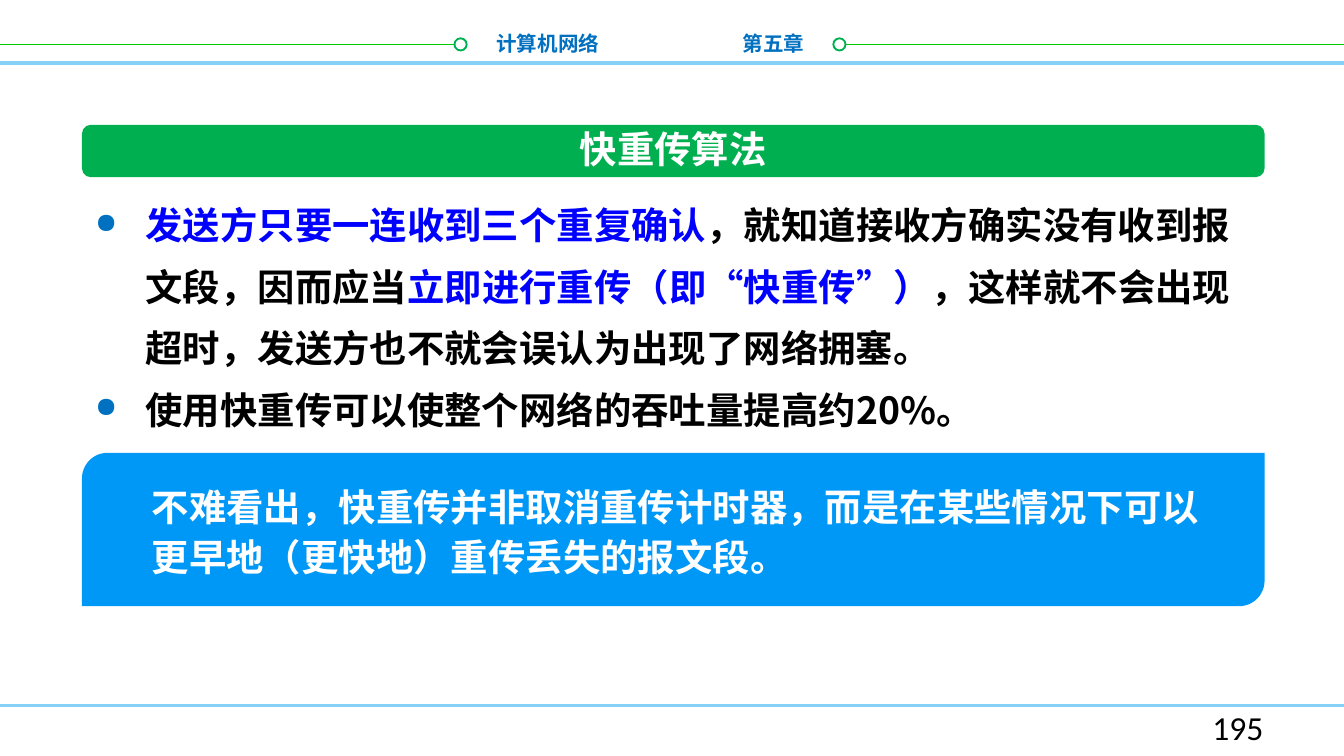
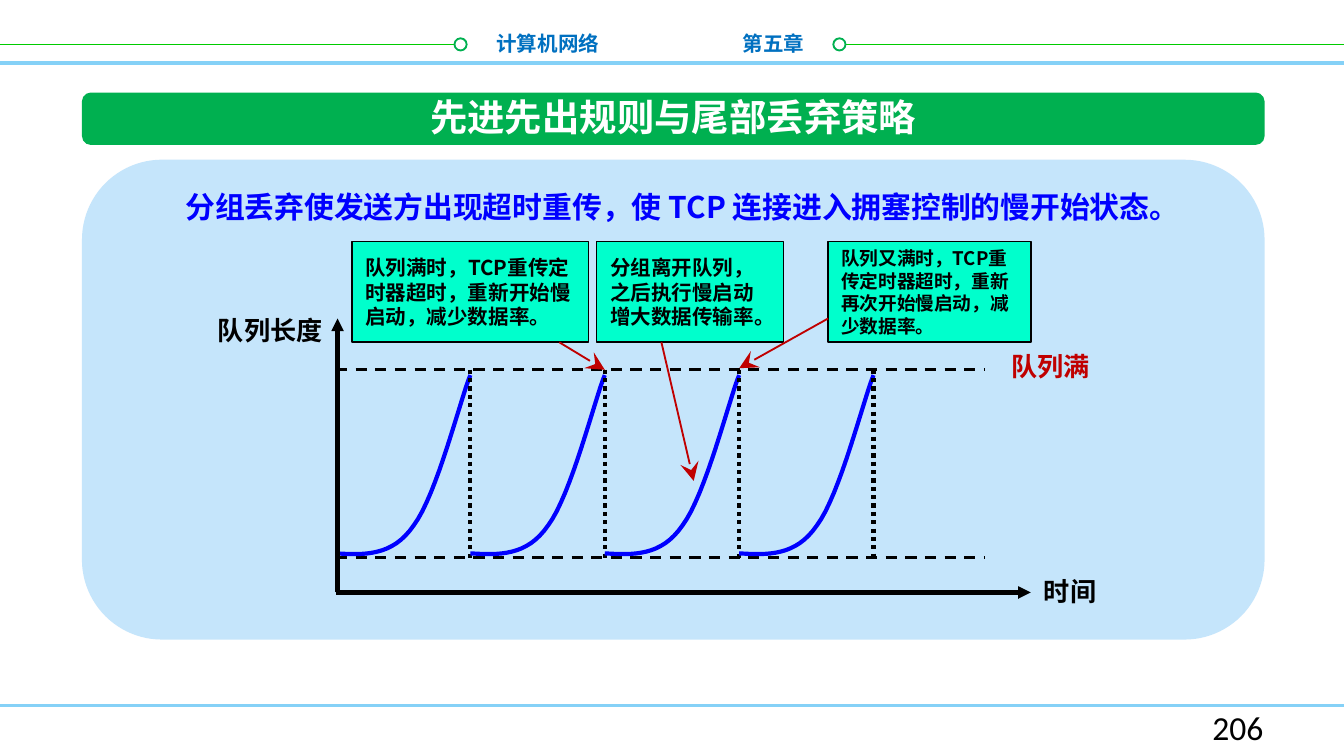
from collections import namedtuple

from pptx import Presentation
from pptx.dml.color import RGBColor
from pptx.enum.dml import MSO_LINE
from pptx.enum.shapes import MSO_CONNECTOR, MSO_SHAPE
from pptx.enum.text import MSO_ANCHOR, MSO_AUTO_SIZE, PP_ALIGN
from pptx.oxml.ns import qn
from pptx.util import Cm, Pt
from lxml.etree import SubElement

COLORS = {
    "white": "FFFFFF", "black": "000000", "sky": "85D1F7", "lime": "00CC00",
    "green": "00B050", "blue": "0070C0", "accent": "0000FF", "summary": "0098F6",
    "panel": "C5E5FB", "mint": "00FFCC", "red": "C00000",
}
CJK, LATIN = "Noto Sans CJK SC", "Calibri"
GROW = {"auto_size": MSO_AUTO_SIZE.SHAPE_TO_FIT_TEXT}
ONE_LINE = {**GROW, "word_wrap": False}
LABEL = {**GROW, "margin_top": Cm(0.1)}
MIDDLE = {"vertical_anchor": MSO_ANCHOR.MIDDLE}
CENTER = {"alignment": PP_ALIGN.CENTER}
RIGHT = {"alignment": PP_ALIGN.RIGHT}
AXIS_HEAD = {"type": "triangle"}
POINTER_HEAD = {"type": "stealth", "w": "lg", "len": "lg"}

Box = namedtuple("Box", "left top width height")
PAGE = Box(0, 0, 25.4, 14.29)


def rgb(name):
    return RGBColor.from_string(COLORS[name])


def apply(target, formats):
    for attribute, value in formats.items():
        setattr(target, attribute, value)


def inside(box, left, top, width, height):
    """Box placed relative to the corner of another box."""
    return Box(box.left + left, box.top + top, width, height)


# Drawing helpers
def write(frame, paragraphs, size, frame_format=None, para_format=None,
          font=CJK, bold=True, bullet=None):
    """Each paragraph is a list of (text, colour) runs."""
    apply(frame, {"word_wrap": True, **(frame_format or {})})
    for index, runs in enumerate(paragraphs):
        paragraph = frame.add_paragraph() if index else frame.paragraphs[0]
        apply(paragraph, {"alignment": PP_ALIGN.LEFT, **(para_format or {})})
        if bullet:
            add_bullet(paragraph, bullet)
        for text, color in runs:
            run = paragraph.add_run()
            run.text = text
            apply(run.font, {"size": Pt(size), "bold": bold, "name": font})
            run.font.color.rgb = rgb(color)
            SubElement(run.font._element, qn("a:ea"), typeface=font)


def add_bullet(paragraph, color, hang=0.95):
    properties = paragraph._p.get_or_add_pPr()
    properties.set("marL", str(Cm(hang)))
    properties.set("indent", str(-Cm(hang)))
    bullet_color = SubElement(properties, qn("a:buClr"))
    SubElement(bullet_color, qn("a:srgbClr"), val=COLORS[color])
    SubElement(properties, qn("a:buSzPct"), val="75000")
    SubElement(properties, qn("a:buChar"), char="●")


def add_text(slide, box, paragraphs, size, **formats):
    frame = slide.shapes.add_textbox(*map(Cm, box)).text_frame
    write(frame, paragraphs, size, **formats)


def add_block(slide, kind, box, fill, line=None, weight=1.0, corner=None):
    block = slide.shapes.add_shape(kind, *map(Cm, box))
    block.shadow.inherit = False
    block.fill.solid()
    block.fill.fore_color.rgb = rgb(fill)
    if corner is not None:
        block.adjustments[0] = corner
    if line:
        block.line.color.rgb = rgb(line)
        block.line.width = Pt(weight)
    else:
        block.line.fill.background()
    return block


def add_line(slide, start, end, color, weight, dash=None, head=None):
    line = slide.shapes.add_connector(MSO_CONNECTOR.STRAIGHT, *map(Cm, start + end))
    line.line.color.rgb = rgb(color)
    apply(line.line, {"width": Pt(weight), "dash_style": dash})
    if head:
        SubElement(line.line._get_or_add_ln(), qn("a:tailEnd"), head)
    SubElement(line._element.spPr, qn("a:effectLst"))


# Parts shared by the slides
def add_page_frame(slide, page, number):
    right = page.left + page.width
    rule, band, ring = page.top + 0.84, page.top + 1.19, 0.23
    add_line(slide, (page.left, band), (right, band), "sky", 2)
    for start, end, ring_left in ((page.left, 8.64, 8.59), (15.75, right, 15.75)):
        add_line(slide, (start, rule), (end, rule), "lime", 1)
        add_block(slide, MSO_SHAPE.OVAL, Box(ring_left, rule - ring / 2, ring, ring),
                  "white", "green")
    add_text(slide, inside(page, 13.79, 0.46, 2.95, 0.74), [[("第五章", "blue")]], 11,
             frame_format=GROW)
    add_text(slide, inside(page, 9.12, 0.46, 2.46, 0.74), [[("计算机网络", "blue")]], 11,
             frame_format=ONE_LINE, para_format=RIGHT)
    # Footer
    footer = page.top + 13.34
    add_line(slide, (page.left, footer), (right, footer), "sky", 1.5)
    add_text(slide, inside(page, 18.21, 13.23, 5.92, 0.76), [[(number, "black")]], 18,
             para_format=RIGHT, font=LATIN, bold=False)


def add_title(slide, bar, title):
    add_block(slide, MSO_SHAPE.ROUNDED_RECTANGLE, bar, "green", corner=0.167)
    add_text(slide, inside(bar, 0, -0.1, bar.width, 1.12), [[(title, "white")]], 20,
             frame_format=GROW, para_format=CENTER)


# Fast retransmit slide
def add_key_points(slide, box):
    points = [
        [("发送方只要一连收到三个重复确认", "accent"),
         ("，就知道接收方确实没有收到报文段，因而应当", "black"),
         ("立即进行重传（即“快重传”）", "accent"),
         ("，这样就不会出现超时，发送方也不就会误认为出现了网络拥塞。", "black")],
        [("使用快重传可以使整个网络的吞吐量提高约20%。", "black")],
    ]
    add_text(slide, box, points, 20, frame_format=GROW,
             para_format={"line_spacing": Pt(33)}, bullet="blue")


def add_summary(slide, box):
    add_block(slide, MSO_SHAPE.ROUND_2_DIAG_RECTANGLE, box, "summary")
    conclusion = "不难看出，快重传并非取消重传计时器，而是在某些情况下可以更早地（更快地）重传丢失的报文段。"
    add_text(slide, inside(box, 1.07, 0.36, 20.45, 2.18), [[(conclusion, "white")]], 20,
             frame_format=GROW, para_format={"line_spacing": Pt(27)})


# Tail drop slide
def add_panel(slide, box):
    add_block(slide, MSO_SHAPE.ROUNDED_RECTANGLE, box, "panel")
    lead = "分组丢弃使发送方出现超时重传，使 TCP 连接进入拥塞控制的慢开始状态。"
    add_text(slide, inside(box, 1.24, 0.38, 20.22, 0.97), [[(lead, "accent")]], 16,
             frame_format={**GROW, **MIDDLE},
             para_format={**CENTER, "line_spacing": Pt(20)})


def bezier(points, steps=16):
    weights = (1, 3, 3, 1)
    for step in range(1, steps + 1):
        t = step / steps
        yield tuple(sum(w * (1 - t) ** (3 - i) * t ** i * point[axis]
                        for i, (w, point) in enumerate(zip(weights, points)))
                    for axis in (0, 1))


def add_growth_curve(slide, left, top):
    bend = (1.47, 2.94)
    halves = ([(0, 3.47), (0.53, 3.5), (1.07, 3.53), bend],
              [bend, (1.9, 2.38), (2.36, 0.53), (2.54, 0.1)])
    points = [(Cm(left + x), Cm(top + y))
              for x, y in [halves[0][0], *bezier(halves[0]), *bezier(halves[1])]]
    builder = slide.shapes.build_freeform(*points[0])
    builder.add_line_segments(points[1:], close=False)
    curve = builder.convert_to_shape()
    curve.shadow.inherit = False
    curve.fill.background()
    curve.line.color.rgb = rgb("accent")
    curve.line.width = Pt(2.25)


def add_queue_plot(slide, box):
    period, cycles = 2.54, 4
    bottom = box.top + box.height
    full, empty = box.top + 0.97, box.top + 4.52
    # Axes and queue limits
    add_line(slide, (box.left, bottom), (box.left + box.width, bottom),
             "black", 2.25, head=AXIS_HEAD)
    for level in (full, empty):
        add_line(slide, (box.left, level), (box.left + 12.27, level),
                 "black", 1.5, MSO_LINE.DASH)
    # Sawtooth cycles
    for cycle in range(cycles):
        start = box.left + cycle * period
        add_growth_curve(slide, start, full)
        add_line(slide, (start + period, full), (start + period, empty + 0.03),
                 "black", 2.25, MSO_LINE.ROUND_DOT)
    add_line(slide, (box.left + 0.03, bottom), (box.left + 0.03, box.top),
             "black", 2.25, head=AXIS_HEAD)
    # Axis labels
    for text, left, top, width, color, align in (
            ("队列长度", -3.81, -0.18, 3.81, "black", RIGHT),
            ("时间", 13.13, 4.75, 2.34, "black", None),
            ("队列满", 12.52, 0.51, 3.81, "red", None)):
        add_text(slide, inside(box, left, top, width, 0.84), [[(text, color)]], 14,
                 frame_format=LABEL, para_format=align)


def add_callouts(slide, row):
    # Text, left, width, font size, arrow start, arrow end
    events = (
        ("队列满时，TCP重传定时器超时，重新开始慢启动，减少数据率。",
         0, 4.47, 11, (3.92, 1.9), (4.78, 2.42)),
        ("分组离开队列，之后执行慢启动增大数据传输率。",
         4.63, 3.53, 11, (5.85, 1.9), (6.46, 4.52)),
        ("队列又满时，TCP重传定时器超时，重新再次开始慢启动，减少数据率。",
         9, 3.84, 10, (9, 1.45), (7.32, 2.39)),
    )
    for text, left, width, size, start, end in events:
        callout = add_block(slide, MSO_SHAPE.RECTANGLE, inside(row, left, 0, width, row.height),
                            "mint", "black", 0.75)
        write(callout.text_frame, [[(text, "black")]], size, frame_format=MIDDLE)
        add_line(slide, (row.left + start[0], row.top + start[1]),
                 (row.left + end[0], row.top + end[1]), "red", 1, head=POINTER_HEAD)


def build_fast_retransmit(slide, page):
    add_page_frame(slide, page, "195")
    add_title(slide, inside(page, 1.55, 2.36, 22.35, 0.99), "快重传算法")
    add_key_points(slide, inside(page, 1.55, 3.38, 22.35, 4.95))
    add_summary(slide, inside(page, 1.55, 8.56, 22.35, 2.9))


def build_tail_drop(slide, page):
    add_page_frame(slide, page, "206")
    add_panel(slide, inside(page, 1.55, 3.02, 22.35, 9.07))
    add_title(slide, inside(page, 1.55, 1.75, 22.35, 0.99), "先进先出规则与尾部丢弃策略")
    add_queue_plot(slide, inside(page, 6.35, 6.02, 13.13, 5.18))
    add_callouts(slide, inside(page, 6.65, 4.57, 12.84, 1.9))


def main():
    deck = Presentation()
    apply(deck, {"slide_width": Cm(PAGE.width), "slide_height": Cm(PAGE.height)})
    blank = deck.slide_layouts[6]
    for build in (build_fast_retransmit, build_tail_drop):
        build(deck.slides.add_slide(blank), PAGE)
    deck.save("out.pptx")


if __name__ == "__main__":
    main()
